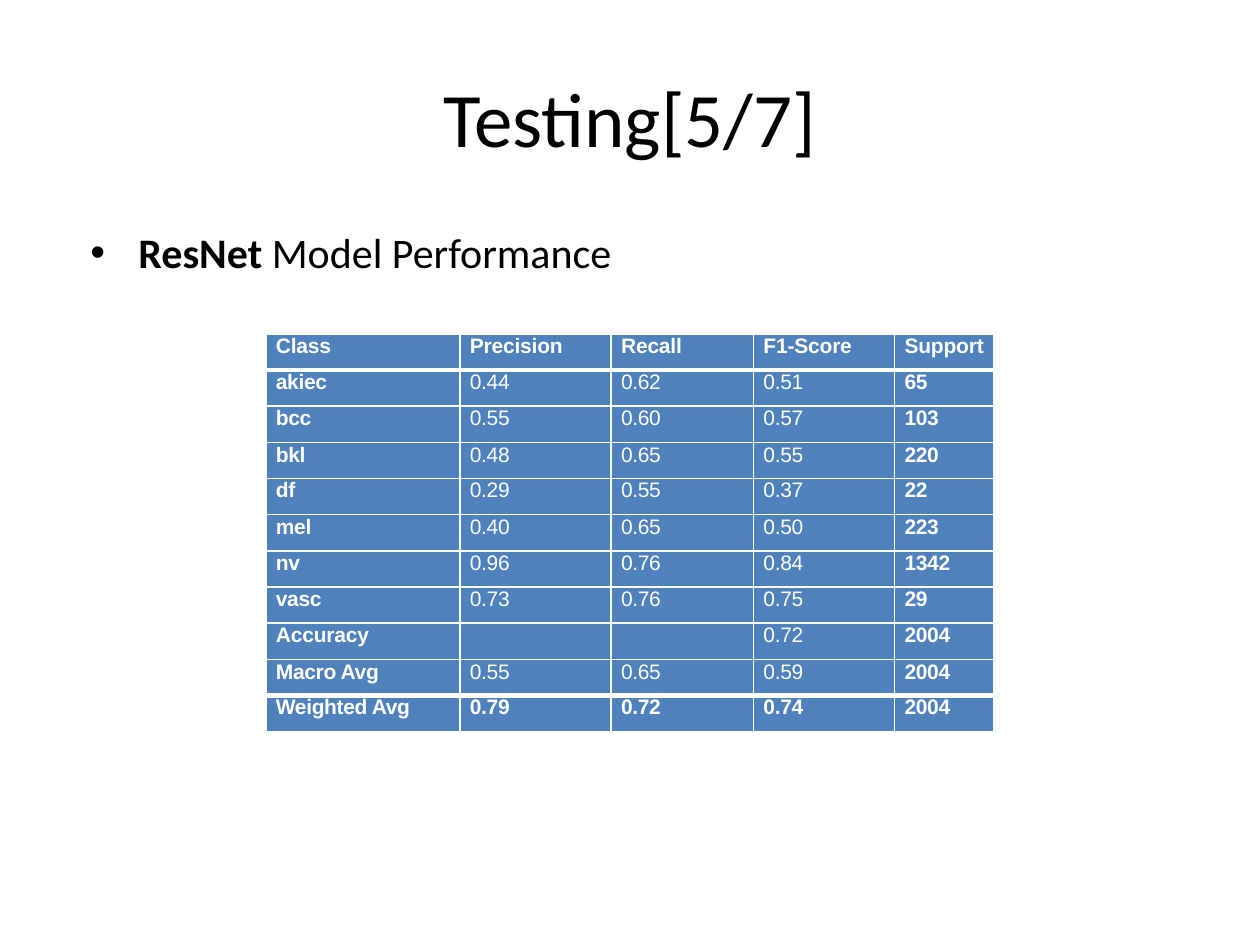
from lxml import etree
from pptx import Presentation
from pptx import util as u
from pptx.dml.color import RGBColor
from pptx.enum import text
from pptx.oxml.ns import qn

ROWS = [
    ("Class", "Precision", "Recall", "F1-Score", "Support"),
    ("akiec", "0.44", "0.62", "0.51", "65"),
    ("bcc", "0.55", "0.60", "0.57", "103"),
    ("bkl", "0.48", "0.65", "0.55", "220"),
    ("df", "0.29", "0.55", "0.37", "22"),
    ("mel", "0.40", "0.65", "0.50", "223"),
    ("nv", "0.96", "0.76", "0.84", "1342"),
    ("vasc", "0.73", "0.76", "0.75", "29"),
    ("Accuracy", "", "", "0.72", "2004"),
    ("Macro Avg", "0.55", "0.65", "0.59", "2004"),
    ("Weighted Avg", "0.79", "0.72", "0.74", "2004"),
]
COL_WIDTHS = (1.54, 1.2, 1.13, 1.12, 0.79)
NATURAL_ROWS = (4, 7, 10)


def rgb(color):
    """Turn a hex string into a colour."""
    return RGBColor.from_string(color)


def add_text(p, content, size=12, font="Calibri", color="000000", bold=False, spc=0):
    """Add a formatted run to a paragraph."""
    r = p.add_run()
    r.text = content
    r.font.size = u.Pt(size)
    r.font.name = font
    r.font.bold = bold
    r.font.color.rgb = rgb(color)
    if spc:
        r.font._element.set("spc", str(spc))


def set_indent(p, left, first=0):
    """Set the left margin and first-line indent of a paragraph in inches."""
    pPr = p._p.get_or_add_pPr()
    pPr.set("marL", str(u.Inches(left)))
    pPr.set("indent", str(u.Inches(first)))
    return pPr


def add_box(s, box, anchor):
    """Add a wrapping text box and return its first paragraph."""
    tf = s.shapes.add_textbox(*map(u.Inches, box)).text_frame
    tf.word_wrap = True
    tf.vertical_anchor = anchor
    return tf.paragraphs[0]


def add_title(s, box):
    """Place the centred slide title."""
    p = add_box(s, box, text.MSO_ANCHOR.MIDDLE)
    p.alignment = text.PP_ALIGN.CENTER
    add_text(p, "Testing[5/7]", size=44)


def add_body(s, box):
    """Place the bulleted heading of the table."""
    p = add_box(s, box, text.MSO_ANCHOR.TOP)
    pPr = set_indent(p, 0.5, -0.38)
    etree.SubElement(pPr, qn("a:buFont")).set("typeface", "Arial")
    etree.SubElement(pPr, qn("a:buChar")).set("char", "•")
    add_text(p, "ResNet ", size=24, bold=True)
    add_text(p, "Model Performance", size=24)


def set_borders(cell, top, bottom):
    """Draw white borders round a cell, with widths in points."""
    tcPr = cell._tc.get_or_add_tcPr()
    for side, width in (("L", 1), ("R", 1), ("T", top), ("B", bottom)):
        ln = etree.SubElement(tcPr, qn(f"a:ln{side}"), w=str(u.Pt(width)))
        fill = etree.SubElement(ln, qn("a:solidFill"))
        etree.SubElement(fill, qn("a:srgbClr"), val="FFFFFF")


def fill_cell(cell, content, row, col):
    """Format one cell of the score table and write its text."""
    last = len(ROWS) - 1
    set_borders(cell, 3 if row in (1, last) else 1, 3 if row in (0, last - 1) else 1)
    cell.fill.solid()
    cell.fill.fore_color.rgb = rgb("4F81BD")
    cell.margin_left = cell.margin_right = cell.margin_top = cell.margin_bottom = 0
    p = cell.text_frame.paragraphs[0]
    set_indent(p, 0.08)
    if row not in NATURAL_ROWS:
        p.line_spacing = u.Pt(13.8)
    if content:
        bold = row in (0, last) or col in (0, len(COL_WIDTHS) - 1)
        spc = -10 if row == 0 or content == "Accuracy" else -20
        add_text(p, content, font="Arial", color="FFFFFF", bold=bold, spc=spc)
    else:
        etree.SubElement(p._p, qn("a:endParaRPr"), sz="1200")


def add_scores(s, box):
    """Place the table of scores for each class."""
    frame = s.shapes.add_table(len(ROWS), len(COL_WIDTHS), *map(u.Inches, box))
    table = frame.table
    for column, width in zip(table.columns, COL_WIDTHS):
        column.width = u.Inches(width)
    for i, values in enumerate(ROWS):
        table.rows[i].height = u.Inches(box[3] / len(ROWS))
        for j, value in enumerate(values):
            fill_cell(table.cell(i, j), value, i, j)


def main():
    """Build the slide and save it."""
    prs = Presentation()
    prs.slide_width, prs.slide_height = u.Inches(10), u.Inches(7.5)
    s = prs.slides.add_slide(prs.slide_layouts[6])
    add_title(s, (0.5, 0.3, 9, 1.25))
    add_body(s, (0.5, 1.75, 9, 4.95))
    add_scores(s, (2.11, 2.65, sum(COL_WIDTHS), 3.16))
    prs.save("out.pptx")


if __name__ == "__main__":
    main()
